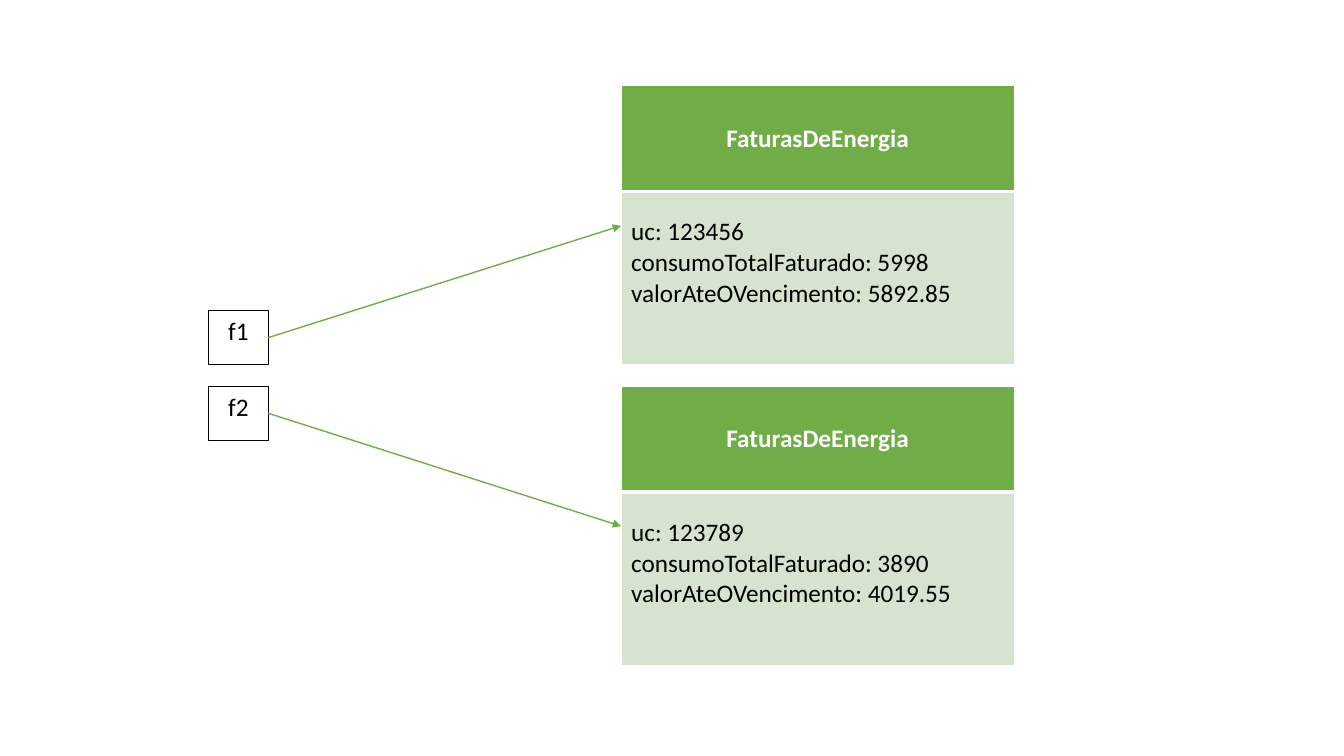
from dataclasses import dataclass

from lxml.etree import SubElement
from pptx import Presentation
from pptx.dml.color import RGBColor
from pptx.enum.shapes import MSO_CONNECTOR as Conn, MSO_SHAPE as Shape
from pptx.enum.text import MSO_ANCHOR as Anchor, PP_ALIGN as Align
from pptx.oxml import parse_xml
from pptx.oxml.ns import nsdecls, qn
from pptx.util import Inches, Pt


@dataclass(frozen=True)
class Theme:
    """Colours, font and sizes of the slide."""
    green: str = "70AD47"
    pale: str = "D5E3CF"
    black: str = "000000"
    white: str = "FFFFFF"
    font: str = "Calibri"
    size: int = 18
    thin: float = 0.75
    rule: int = 1
    thick: int = 3


class Diagram:
    """Draws object-reference elements on one slide."""

    def __init__(self, slide, theme):
        """Keep the slide and its style."""
        self.s, self.t = slide, theme

    def add_lines(self, tf, lines, color, align, bold=False):
        """Fill a text frame with one paragraph per line."""
        for i, line in enumerate(lines):
            p = tf.add_paragraph() if i else tf.paragraphs[0]
            p.alignment = align
            r = p.add_run()
            r.text = line
            r.font.name, r.font.size, r.font.bold = self.t.font, Pt(self.t.size), bold
            r.font.color.rgb = RGBColor.from_string(color)

    def variable(self, name, x, y, w, h):
        """Draw the outlined box of a variable."""
        sp = self.s.shapes.add_shape(Shape.RECTANGLE, Inches(x), Inches(y), Inches(w), Inches(h))
        sp.shadow.inherit = False
        sp.fill.solid()
        sp.fill.fore_color.rgb = RGBColor.from_string(self.t.white)
        sp.line.color.rgb = RGBColor.from_string(self.t.black)
        sp.line.width = Pt(self.t.thin)
        tf = sp.text_frame
        tf.word_wrap, tf.vertical_anchor = True, Anchor.TOP
        self.add_lines(tf, [name], self.t.black, Align.CENTER)

    def arrow(self, x1, y1, x2, y2):
        """Draw a green arrow from the first point to the second."""
        cx = self.s.shapes.add_connector(Conn.STRAIGHT, Inches(x1), Inches(y1), Inches(x2), Inches(y2))
        cx.line.color.rgb = RGBColor.from_string(self.t.green)
        cx.line.width = Pt(self.t.rule)
        sp_pr = cx._element.spPr
        SubElement(sp_pr.find(qn("a:ln")), qn("a:tailEnd"), type="triangle")
        SubElement(sp_pr, qn("a:effectLst"))

    def style_cell(self, cell, fill, top, bottom):
        """Set the fill, middle anchor and white borders of a cell."""
        cell.fill.solid()
        cell.fill.fore_color.rgb = RGBColor.from_string(fill)
        cell.vertical_anchor = Anchor.MIDDLE
        widths = {"L": self.t.rule, "R": self.t.rule, "T": top, "B": bottom}
        for i, (side, width) in enumerate(widths.items()):
            cell._tc.tcPr.insert(i, parse_xml(
                f'<a:ln{side} {nsdecls("a")} w="{Pt(width)}"><a:solidFill>'
                f'<a:srgbClr val="{self.t.white}"/></a:solidFill></a:ln{side}>'))

    def instance(self, title, fields, x, y, w, heights):
        """Draw an object as a table: class name above its fields."""
        table = self.s.shapes.add_table(2, 1, Inches(x), Inches(y), Inches(w),
                                        Inches(sum(heights))).table
        table.columns[0].width = Inches(w)
        for row, height in zip(table.rows, heights):
            row.height = Inches(height)
        head, body = table.cell(0, 0), table.cell(1, 0)
        self.style_cell(head, self.t.green, self.t.rule, self.t.thick)
        self.style_cell(body, self.t.pale, self.t.thick, self.t.rule)
        body.margin_bottom = Inches(0.35)
        self.add_lines(head.text_frame, [title], self.t.white, Align.CENTER, bold=True)
        self.add_lines(body.text_frame, fields, self.t.black, Align.JUSTIFY)


BOX_X, BOX_W, BOX_H = 2.07, 0.59, 0.54
TABLE_X, TABLE_W, ROWS = 6.16, 3.9, (1.05, 1.72)
ARROW_DROP = 1.39  # from the table top to the arrow tip
INVOICES = [  # variable, box top, table top, field values
    ("f1", 3.08, 0.85, ("123456", "5998", "5892.85")),
    ("f2", 3.83, 3.83, ("123789", "3890", "4019.55")),
]
FIELDS = ("uc", "consumoTotalFaturado", "valorAteOVencimento")


def main():
    """Build and save the slide."""
    prs = Presentation()
    prs.slide_width, prs.slide_height = Inches(13.33), Inches(7.5)
    d = Diagram(prs.slides.add_slide(prs.slide_layouts[6]), Theme())
    for name, box_y, table_y, values in INVOICES:
        d.variable(name, BOX_X, box_y, BOX_W, BOX_H)
        d.instance("FaturasDeEnergia", [f"{f}: {v}" for f, v in zip(FIELDS, values)],
                   TABLE_X, table_y, TABLE_W, ROWS)
        d.arrow(BOX_X + BOX_W, box_y + BOX_H / 2, TABLE_X, table_y + ARROW_DROP)
    prs.save("out.pptx")


main()
